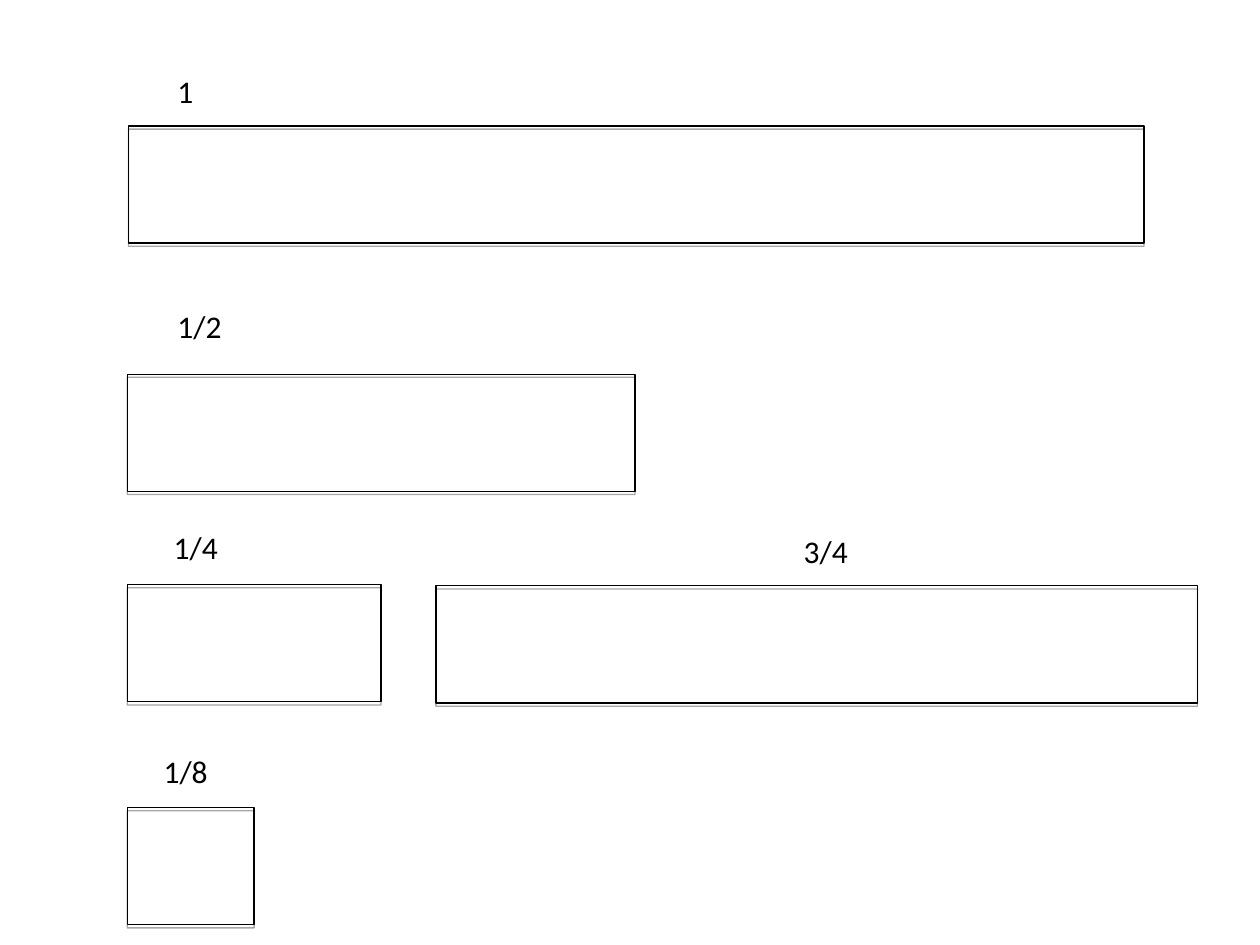
from dataclasses import dataclass

from lxml.etree import SubElement
from pptx import Presentation
from pptx.dml.color import RGBColor
from pptx.enum.shapes import MSO_SHAPE as Shape
from pptx.enum.text import MSO_AUTO_SIZE as AutoSize
from pptx.oxml.ns import qn
from pptx.slide import Slide
from pptx.util import Inches, Pt

BLACK = RGBColor(0x00, 0x00, 0x00)
FONT = "Calibri"
WHOLE_WIDTH = 8.06
BAR_HEIGHT = 0.93
LABEL_HEIGHT = 0.4


@dataclass(frozen=True)
class FractionBar:
    label: str
    fraction: float
    left: float
    top: float
    label_left: float
    label_top: float
    label_width: float = 0.55


FRACTION_BARS = [
    FractionBar("1", 1, 1.02, 1.0, 1.31, 0.52, label_width=0.32),
    FractionBar("1/2", 1 / 2, 1.01, 2.97, 1.31, 2.39),
    FractionBar("1/4", 1 / 4, 1.01, 4.64, 1.28, 4.14),
    FractionBar("1/8", 1 / 8, 1.01, 6.41, 1.2, 5.92),
    FractionBar("3/4", 3 / 4, 3.46, 4.65, 6.28, 4.17),
]


def add_shadow(shape, distance: float, opacity: int) -> None:
    """Give the shape a sharp shadow straight below it."""
    shape.shadow.inherit = False
    effects = shape._element.spPr.find(qn("a:effectLst"))
    shadow = SubElement(effects, qn("a:outerShdw"), blurRad="0",
                        dist=str(Pt(distance)), dir="5400000", rotWithShape="0")
    color = SubElement(shadow, qn("a:srgbClr"), val=str(BLACK))
    SubElement(color, qn("a:alpha"), val=str(opacity * 1000))


def add_text(slide: Slide, text: str, left: float, top: float, width: float,
             height: float = LABEL_HEIGHT, size: float = 18,
             color: RGBColor = BLACK) -> None:
    box = slide.shapes.add_textbox(Inches(left), Inches(top),
                                   Inches(width), Inches(height))
    frame = box.text_frame
    frame.word_wrap = False
    frame.auto_size = AutoSize.SHAPE_TO_FIT_TEXT
    run = frame.paragraphs[0].add_run()
    run.text = text
    run.font.name = FONT
    run.font.size = Pt(size)
    run.font.color.rgb = color


def add_fraction_bar(slide: Slide, bar: FractionBar) -> None:
    shape = slide.shapes.add_shape(
        Shape.RECTANGLE, Inches(bar.left), Inches(bar.top),
        Inches(WHOLE_WIDTH * bar.fraction), Inches(BAR_HEIGHT))
    shape.fill.background()
    shape.line.color.rgb = BLACK
    shape.line.width = Pt(0.75)
    add_shadow(shape, distance=1.8, opacity=35)
    add_text(slide, bar.label, bar.label_left, bar.label_top, bar.label_width)


def main() -> None:
    presentation = Presentation()
    presentation.slide_width = Inches(10)
    presentation.slide_height = Inches(7.5)
    # The slide has no title or list, so it uses the blank layout
    slide = presentation.slides.add_slide(presentation.slide_layouts[6])

    # Bars with their fraction labels
    for bar in FRACTION_BARS:
        add_fraction_bar(slide, bar)

    presentation.save("out.pptx")


if __name__ == "__main__":
    main()
